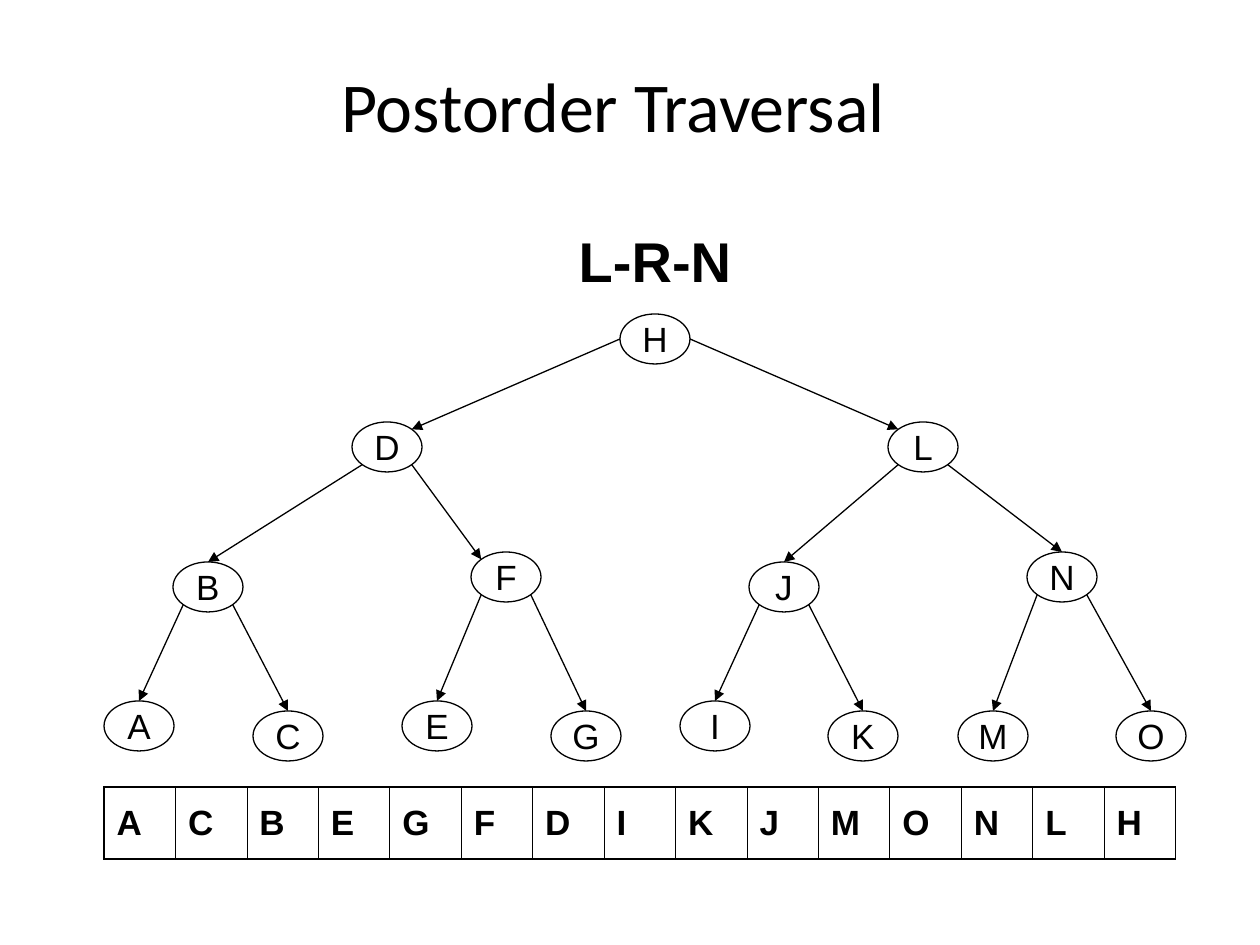
"""Build a slide that shows the postorder traversal of a binary tree."""

from math import sqrt

from lxml.etree import SubElement
from pptx import Presentation
from pptx.dml.color import RGBColor
from pptx.enum.shapes import MSO_CONNECTOR as Connector, MSO_SHAPE as Shape
from pptx.enum.text import MSO_ANCHOR as Anchor, PP_ALIGN as Align
from pptx.oxml.ns import qn
from pptx.util import Emu, Pt

SCALE = 914400 / 126
BLACK = RGBColor(0, 0, 0)
NODE_WIDTH, NODE_HEIGHT = 70, 50
NODES = [
    ("H", 620, 314),
    ("D", 352, 422), ("L", 888, 422),
    ("B", 173, 562), ("F", 471, 552), ("J", 749, 562), ("N", 1027, 552),
    ("A", 104, 701), ("C", 253, 711), ("E", 402, 701), ("G", 551, 711),
    ("I", 680, 701), ("K", 828, 711), ("M", 958, 711), ("O", 1116, 711),
]
ENTRY_SIDES = {"D": 1, "L": -1, "F": -1}


def px(length):
    return Emu(round(length * SCALE))


def add_text(frame, text, size, font="Arial", bold=False, align=Align.CENTER):
    para = frame.paragraphs[0]
    para.alignment = align
    span = para.add_run()
    span.text = text
    span.font.name = font
    span.font.size = Pt(size)
    span.font.bold = bold
    span.font.color.rgb = BLACK
    return para


def add_title(page, text):
    title = page.shapes.title
    title.left, title.top, title.width, title.height = map(px, (63, 38, 1116, 141))
    title.text_frame.vertical_anchor = Anchor.MIDDLE
    add_text(title.text_frame, text, 40, "Calibri").line_spacing = 0.97


def add_caption(page, text):
    box = page.shapes.add_textbox(*map(px, (551, 214, 208, 81)))
    frame = box.text_frame
    frame.word_wrap = True
    frame.margin_top = px(12)
    add_text(frame, text, 32, bold=True)


def add_node(tree, letter, left, top):
    node = tree.shapes.add_shape(
        Shape.OVAL, *map(px, (left, top, NODE_WIDTH, NODE_HEIGHT)))
    node.shadow.inherit = False
    node.fill.background()
    node.line.color.rgb = BLACK
    node.line.width = Pt(0.75)
    node.text_frame.word_wrap = False
    node.text_frame.vertical_anchor = Anchor.MIDDLE
    add_text(node.text_frame, letter, 20)


def rim_point(node, across, down):
    """Return the point on a node's rim in the given direction from its centre."""
    _, left, top = node
    reach = sqrt(across ** 2 + down ** 2)
    return (left + NODE_WIDTH / 2 * (1 + across / reach),
            top + NODE_HEIGHT / 2 * (1 + down / reach))


def add_arrow(tree, start, end):
    arrow = tree.shapes.add_connector(Connector.STRAIGHT, *map(px, start + end))
    arrow.line.color.rgb = BLACK
    arrow.line.width = Pt(0.75)
    SubElement(arrow.line._get_or_add_ln(), qn("a:tailEnd"), type="triangle")
    SubElement(arrow._element.spPr, qn("a:effectLst"))


def add_tree(page):
    tree = page.shapes.add_group_shape()
    for index, child in enumerate(NODES[1:], 1):
        parent_index = (index - 1) // 2
        side = -1 if index % 2 else 1
        start = rim_point(NODES[parent_index], side, 1 if parent_index else 0)
        end = rim_point(child, ENTRY_SIDES.get(child[0], 0), -1)
        add_arrow(tree, start, end)
    for node in NODES:
        add_node(tree, *node)


def postorder(index=0):
    if index >= len(NODES):
        return ""
    return postorder(2 * index + 1) + postorder(2 * index + 2) + NODES[index][0]


def add_border(cell, side, width):
    border = SubElement(cell._tc.get_or_add_tcPr(), qn(f"a:ln{side}"), w=str(Pt(width)))
    fill = SubElement(border, qn("a:solidFill"))
    SubElement(fill, qn("a:srgbClr"), val=str(BLACK))


def add_sequence(page, letters):
    table = page.shapes.add_table(
        1, len(letters), *map(px, (104, 787, 1072, 72))).table
    table.first_row = table.horz_banding = False
    last = len(letters) - 1
    for column, letter in enumerate(letters):
        table.columns[column].width = px(1072 / len(letters))
        cell = table.cell(0, column)
        cell.vertical_anchor = Anchor.MIDDLE
        add_border(cell, "L", 0.45 if column else 1.08)
        add_border(cell, "R", 0.45 if column < last else 1.08)
        add_border(cell, "T", 1.08)
        add_border(cell, "B", 1.08)
        cell.fill.background()
        add_text(cell.text_frame, letter, 20, bold=True, align=Align.LEFT)


def main():
    deck = Presentation()
    deck.slide_width, deck.slide_height = px(1260), px(945)
    page = deck.slides.add_slide(deck.slide_layouts[5])
    add_title(page, "Postorder Traversal ")
    add_tree(page)
    add_caption(page, "L-R-N")
    add_sequence(page, postorder())
    deck.save("out.pptx")


if __name__ == "__main__":
    main()
